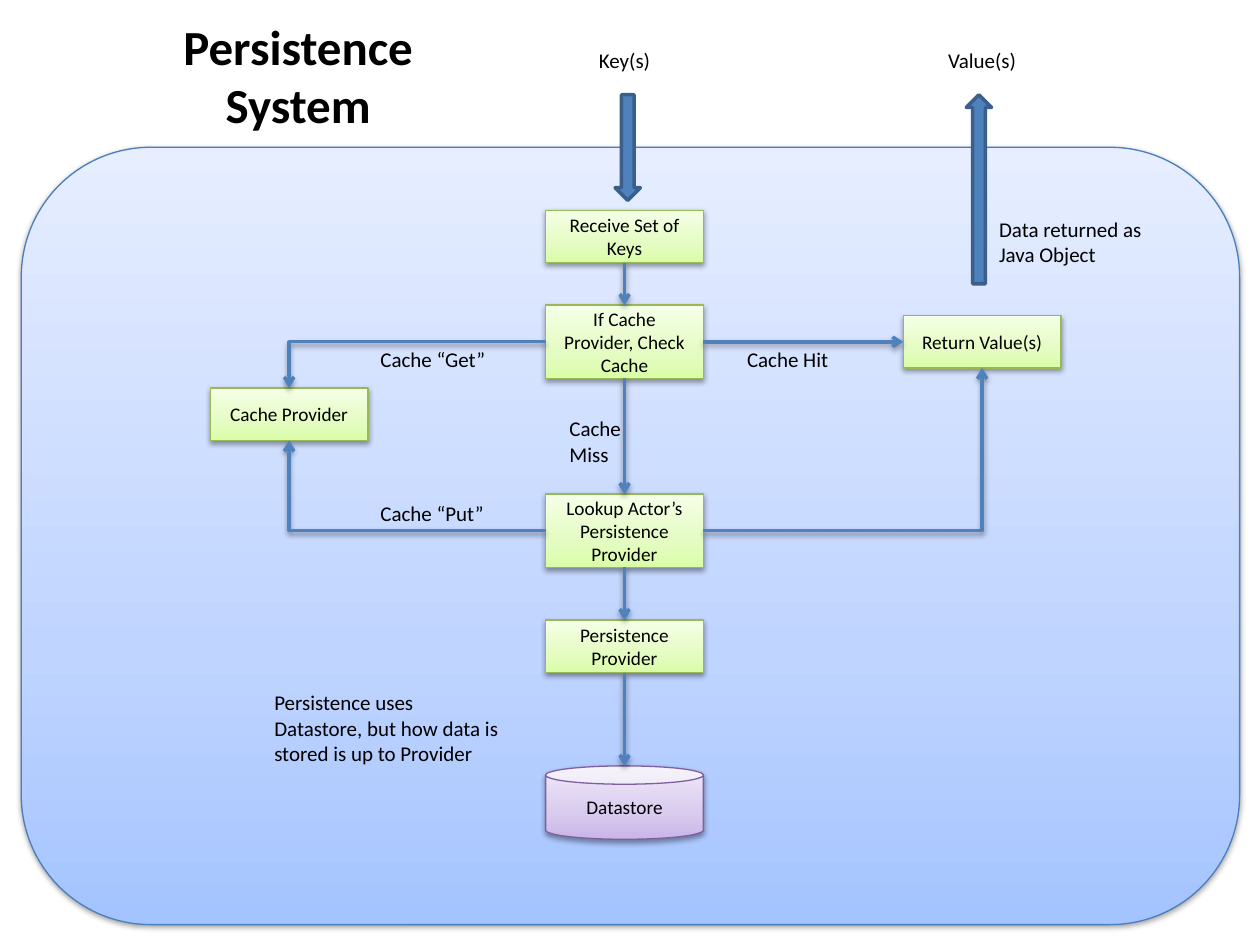
from copy import deepcopy

from lxml import etree
from pptx import Presentation
from pptx import util as u
from pptx.dml import color
from pptx.enum import shapes, text
from pptx.oxml import ns

FONT = "Calibri"
BLUE = "4F81BD"
GREEN_STOPS = ("DAFDA7", "E4FCC2", "F5FFE7")
PURPLE_STOPS = ("C9B5E8", "D8CBEE", "F0EAF9")
PANEL_STOPS = ("A4C4FF", "BFD4FF", "E6EEFF")
TOP, LEFT, BOTTOM, RIGHT = range(4)
BOX_WIDTH = 3.18
SHORT, TALL = 1.06, 1.48
KIND = shapes.MSO_SHAPE


def rgb(value):
    return color.RGBColor.from_string(value)


def lengths(*values):
    return [u.Cm(value) for value in values]


def add_element(parent, tag, **attributes):
    return etree.SubElement(parent, ns.qn(tag), attributes)


def set_line(shape, value, width):
    shape.line.color.rgb = rgb(value)
    shape.line.width = u.Pt(width)


def add_shadow(effects):
    shadow = add_element(effects, "a:outerShdw", blurRad="40000", dist="20000",
                         dir="5400000", rotWithShape="0")
    black = add_element(shadow, "a:srgbClr", val="000000")
    add_element(black, "a:alpha", val="38000")


def set_gradient(shape, colours):
    shape.fill.gradient()
    shape.fill.gradient_angle = 90
    stop_list = shape._element.spPr.find(".//" + ns.qn("a:gsLst"))
    stop_list.append(deepcopy(stop_list[0]))
    for stop, value, position in zip(shape.fill.gradient_stops, colours, (0, 0.35, 1)):
        stop.color.rgb = rgb(value)
        stop.position = position


def set_text(shape, wording, size, centred, bold=False):
    frame = shape.text_frame
    frame.text = wording
    frame.word_wrap = True
    paragraph = frame.paragraphs[0]
    paragraph.alignment = text.PP_ALIGN.CENTER if centred else text.PP_ALIGN.LEFT
    font = paragraph.runs[0].font
    font.name, font.size, font.bold = FONT, u.Pt(size), bold
    font.color.rgb = rgb("000000")


def add_label(slide, wording, box, centred=False, size=12, bold=False,
              anchor=text.MSO_ANCHOR.MIDDLE):
    label = slide.shapes.add_textbox(*lengths(*box))
    set_text(label, wording, size, centred, bold)
    label.text_frame.vertical_anchor = anchor


def add_gradient_shape(slide, kind, box, colours, line, wording=""):
    shape = slide.shapes.add_shape(kind, *lengths(*box))
    set_gradient(shape, colours)
    set_line(shape, line, 0.75)
    shape.shadow.inherit = False
    add_shadow(shape._element.spPr.find(ns.qn("a:effectLst")))
    if wording:
        set_text(shape, wording, 11, True)
        shape.text_frame.vertical_anchor = text.MSO_ANCHOR.MIDDLE
    return shape


def site_point(shape, site):
    across, down = {TOP: (1, 0), LEFT: (0, 1), BOTTOM: (1, 2), RIGHT: (2, 1)}[site]
    return shape.left + shape.width * across // 2, shape.top + shape.height * down // 2


def connect(slide, source, source_site, target, target_site):
    bent = source_site in (LEFT, RIGHT) and target_site in (TOP, BOTTOM)
    style = shapes.MSO_CONNECTOR.ELBOW if bent else shapes.MSO_CONNECTOR.STRAIGHT
    connector = slide.shapes.add_connector(
        style, *site_point(source, source_site), *site_point(target, target_site))
    connector.begin_connect(source, source_site)
    if target.auto_shape_type == KIND.RECTANGLE:
        connector.end_connect(target, target_site)
    set_line(connector, BLUE, 2)
    properties = connector._element.spPr
    if bent:
        properties.find(ns.qn("a:prstGeom")).set("prst", "bentConnector2")
    add_element(properties.find(ns.qn("a:ln")), "a:tailEnd", type="arrow")
    add_shadow(add_element(properties, "a:effectLst"))


def add_flow_panel(slide, box):
    left, top = box[:2]
    add_gradient_shape(slide, KIND.ROUNDED_RECTANGLE, box, PANEL_STOPS, "4B7EBC")

    def place(x, y, width, height):
        return left + x, top + y, width, height

    def step(wording, x, y, height=SHORT):
        return add_gradient_shape(slide, KIND.RECTANGLE, place(x, y, BOX_WIDTH, height),
                                  GREEN_STOPS, "98B955", wording)

    column = 10.57
    receive = step("Receive Set of Keys", column, 1.27)
    check = step("If Cache Provider, Check Cache", column, 3.18, TALL)
    lookup = step("Lookup Actor’s Persistence Provider", column, 6.99, TALL)
    provider = step("Persistence Provider", column, 9.53)
    cache = step("Cache Provider", 3.81, 4.85)
    result = step("Return Value(s)", 17.78, 3.39)
    store = add_gradient_shape(slide, KIND.CAN, place(column, 12.47, BOX_WIDTH, TALL),
                               PURPLE_STOPS, "7D60A0", "Datastore")

    main_steps = (receive, check, lookup, provider, store)
    for source, target in zip(main_steps, main_steps[1:]):
        connect(slide, source, BOTTOM, target, TOP)
    connect(slide, check, LEFT, cache, TOP)
    connect(slide, lookup, LEFT, cache, BOTTOM)
    connect(slide, check, RIGHT, result, LEFT)
    connect(slide, lookup, RIGHT, result, BOTTOM)

    for wording, x, y, width, height in (
        ("Cache “Get”", 6.99, 3.89, 2.74, 0.76),
        ("Cache “Put”", 6.99, 6.99, 3.38, 0.76),
        ("Cache Hit", 14.38, 3.89, 2.34, 0.76),
        ("Cache Miss", 10.8, 5.29, 1.7, 1.27),
        ("Data returned as Java Object", 19.46, 1.27, 3.38, 1.27),
        ("Persistence uses Datastore, but how data is stored is up to Provider",
         4.85, 10.8, 5.08, 1.8),
    ):
        add_label(slide, wording, place(x, y, width, height))


def add_header(slide, box):
    left, top = box[:2]
    add_label(slide, "Persistence System", (left, top, 8.2, 2.64), True, 28, True,
              text.MSO_ANCHOR.TOP)
    for wording, label_x, arrow_x, height, rotation in (
        ("Key(s)", 9.09, 10.49, 2.13, 0),
        ("Value(s)", 16.3, 17.57, 3.81, 180),
    ):
        add_label(slide, wording, (left + label_x, top + 0.64, BOX_WIDTH, 0.76), True)
        arrow = slide.shapes.add_shape(
            KIND.DOWN_ARROW, *lengths(left + arrow_x, top + 1.71, 0.51, height))
        arrow.rotation = rotation
        arrow.fill.solid()
        arrow.fill.fore_color.rgb = rgb(BLUE)
        set_line(arrow, "3A5F8C", 2)
        arrow.shadow.inherit = False


presentation = Presentation()
presentation.slide_width, presentation.slide_height = lengths(25.4, 19.05)
slide = presentation.slides.add_slide(presentation.slide_layouts[6])
add_flow_panel(slide, (0.43, 2.97, 24.56, 15.67))
add_header(slide, (1.91, 0.2, 21.6, 5.52))
presentation.save("out.pptx")
